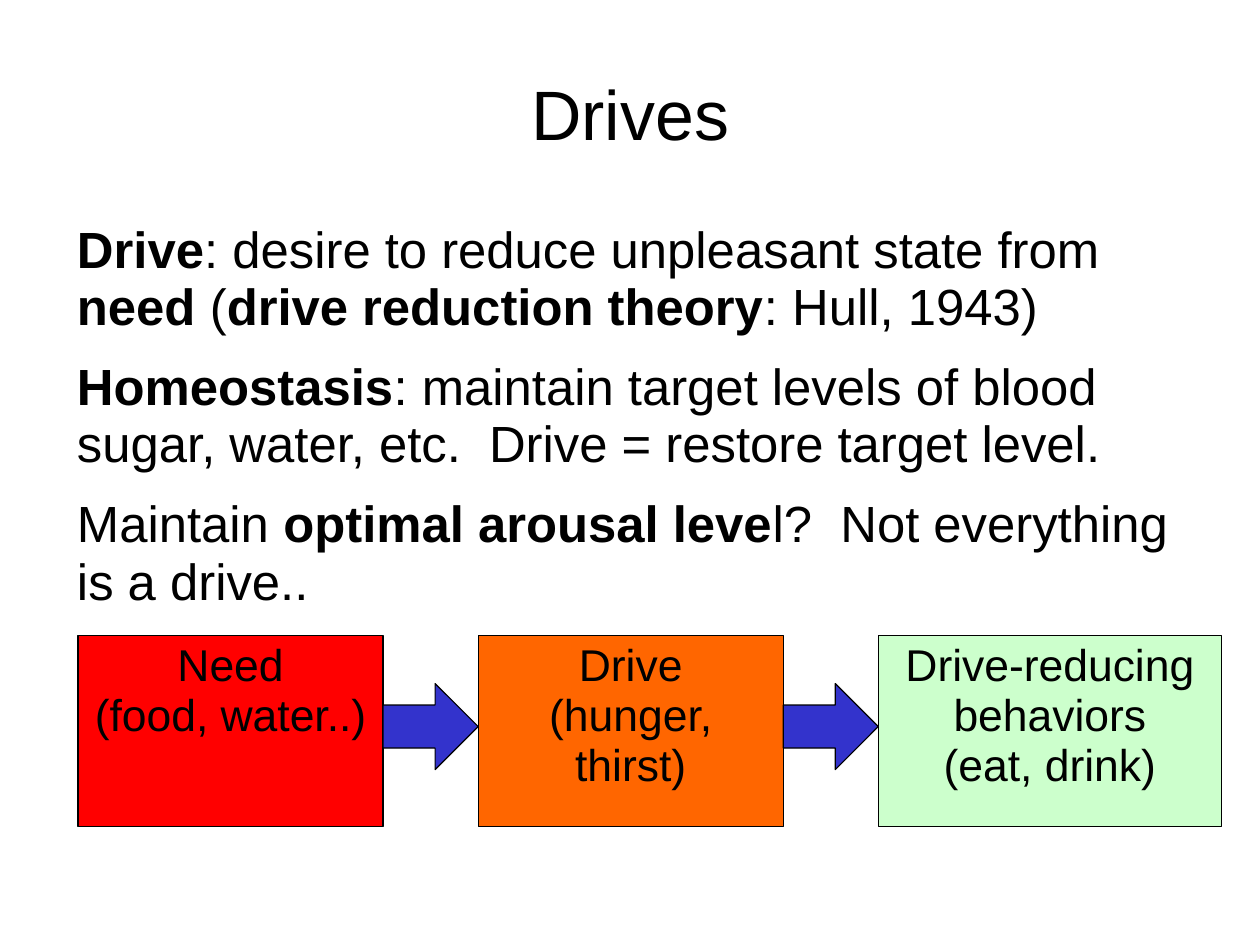
from pptx import Presentation
from pptx.dml.color import RGBColor
from pptx.enum.shapes import MSO_SHAPE
from pptx.enum.text import MSO_ANCHOR, PP_ALIGN
from pptx.util import Inches, Pt

PX = 8000  # EMU per px
RECTANGLE = MSO_SHAPE.RECTANGLE
RIGHT_ARROW = MSO_SHAPE.RIGHT_ARROW
TOP, MIDDLE = MSO_ANCHOR.TOP, MSO_ANCHOR.MIDDLE
LEFT, CENTER = PP_ALIGN.LEFT, PP_ALIGN.CENTER


def color(value):
    return RGBColor.from_string(value)


def write(shape, paragraphs, size, align, anchor, space_after=0):
    """Fill a shape with text; every second part of a paragraph, split at |, is bold."""
    frame = shape.text_frame
    frame.word_wrap = True
    frame.vertical_anchor = anchor
    frame.text = "\n".join(paragraphs)
    for paragraph, text in zip(frame.paragraphs, paragraphs):
        paragraph.text = ""
        paragraph.alignment = align
        paragraph.line_spacing = 0.94
        paragraph.space_after = Pt(space_after)
        for index, part in enumerate(text.split("|")):
            if not part:
                continue
            run = paragraph.add_run()
            run.text = part
            run.font.name = "Arial"
            run.font.size = Pt(size)
            run.font.bold = index % 2 == 1
            run.font.color.rgb = color("000000")


presentation = Presentation()
presentation.slide_width = Inches(11.02)
presentation.slide_height = Inches(8.27)
slide = presentation.slides.add_slide(presentation.slide_layouts[6])

# Title and definitions
definitions = [
    "|Drive|: desire to reduce unpleasant state from |need| (|drive reduction theory|: Hull, 1943)",
    "|Homeostasis|: maintain target levels of blood sugar, water, etc.  Drive = restore target level.",
    "Maintain |optimal arousal leve|l?  Not everything is a drive..",
]
text_blocks = [
    (38, 158, 0, ["Drives"], 44, CENTER, MIDDLE, 0),
    (222, 624, 14, definitions, 32, LEFT, TOP, 14.2),
]
for top, height, indent, paragraphs, size, align, anchor, space_after in text_blocks:
    box = slide.shapes.add_textbox(63 * PX, top * PX, 1134 * PX, height * PX)
    frame = box.text_frame
    frame.margin_left = indent * PX
    frame.margin_top = frame.margin_right = frame.margin_bottom = 0
    write(box, paragraphs, size, align, anchor, space_after)

# Chain of boxes, then the arrows between them
BOX_LEFT, BOX_STEP, BOX_WIDTH = 78, 400, 305
stages = [
    (BOX_WIDTH, "FF0000", ["Need", "(food, water..)"]),
    (BOX_WIDTH, "FF6600", ["Drive", "(hunger, thirst)"]),
    (343, "CCFFCC", ["Drive-reducing behaviors", "(eat, drink)"]),
]
chain = [
    (RECTANGLE, BOX_LEFT + index * BOX_STEP, 635, width, 191, fill, lines)
    for index, (width, fill, lines) in enumerate(stages)
]
chain += [
    (RIGHT_ARROW, BOX_LEFT + BOX_WIDTH + index * BOX_STEP, 683, BOX_STEP - BOX_WIDTH, 86, "3333CC", [])
    for index in range(len(stages) - 1)
]
for kind, left, top, width, height, fill, lines in chain:
    shape = slide.shapes.add_shape(kind, left * PX, top * PX, width * PX, height * PX)
    shape.shadow.inherit = False
    shape.fill.solid()
    shape.fill.fore_color.rgb = color(fill)
    shape.line.color.rgb = color("000000")
    shape.line.width = Pt(0.75)
    if lines:
        write(shape, lines, 28, CENTER, TOP)

presentation.save("out.pptx")
